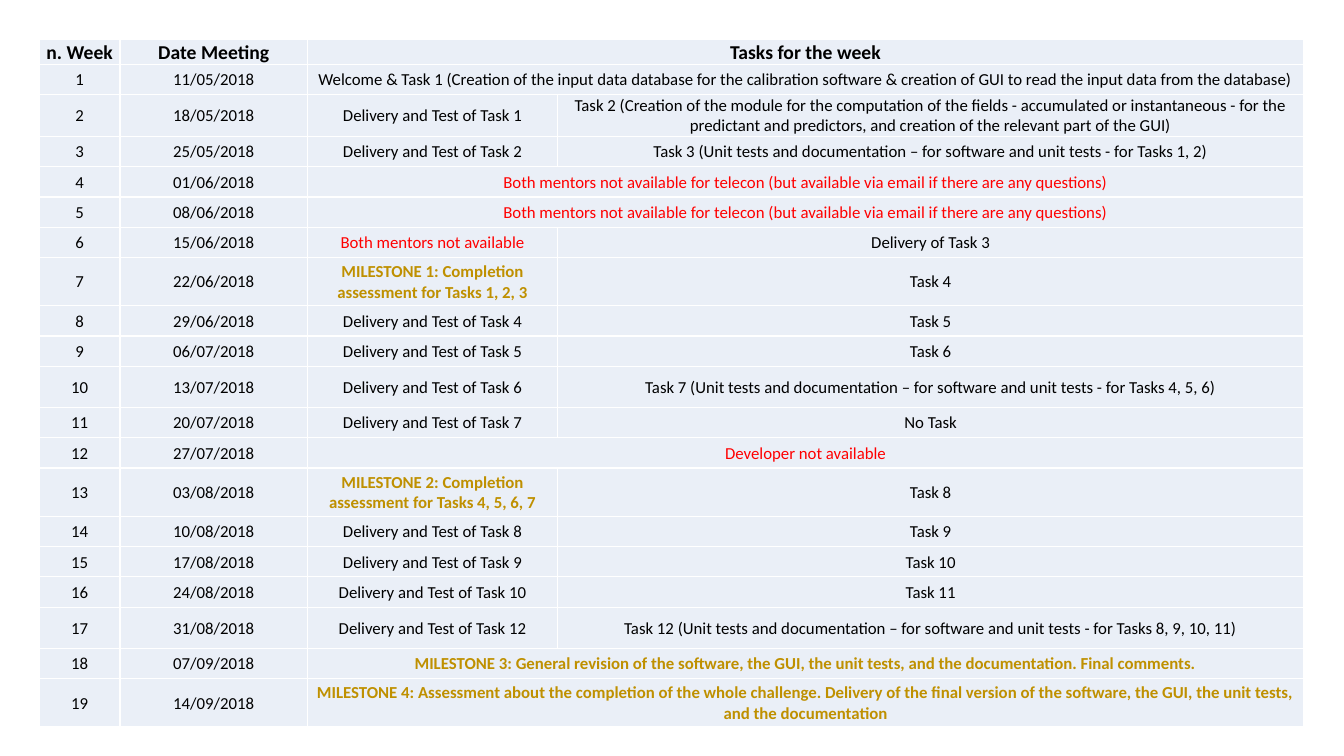
from lxml import etree
from pptx import Presentation
from pptx.dml.color import RGBColor
from pptx.enum.text import MSO_ANCHOR as Anchor, PP_ALIGN as Align
from pptx.oxml.ns import qn
from pptx.util import Inches, Pt

COLUMN_WIDTHS = [0.8, 1.86, 2.48, 7.4]
HEADER_HEIGHT, WEEK_HEIGHT = 0.24, 0.3
TALLER_WEEKS = {2: 0.41, 7: 0.48, 10: 0.41, 13: 0.48, 17: 0.41, 19: 0.48}

ABSENCE = ("Both mentors not available for telecon "
           "(but available via email if there are any questions)")
UNIT_TESTS = "(Unit tests and documentation – for software and unit tests - for Tasks {})"

# Meeting date, then one task across both columns or a delivery and a task
WEEKS = [
    ("11/05/2018", "Welcome & Task 1 (Creation of the input data database for the calibration "
                   "software & creation of GUI to read the input data from the database)"),
    ("18/05/2018", "Delivery and Test of Task 1",
     "Task 2 (Creation of the module for the computation of the fields - accumulated or "
     "instantaneous - for the predictant and predictors, and creation of the relevant part "
     "of the GUI)"),
    ("25/05/2018", "Delivery and Test of Task 2", "Task 3 " + UNIT_TESTS.format("1, 2")),
    ("01/06/2018", ABSENCE),
    ("08/06/2018", ABSENCE),
    ("15/06/2018", "Both mentors not available", "Delivery of Task 3"),
    ("22/06/2018", "MILESTONE 1: Completion assessment for Tasks 1, 2, 3", "Task 4"),
    ("29/06/2018", "Delivery and Test of Task 4", "Task 5"),
    ("06/07/2018", "Delivery and Test of Task 5", "Task 6"),
    ("13/07/2018", "Delivery and Test of Task 6", "Task 7 " + UNIT_TESTS.format("4, 5, 6")),
    ("20/07/2018", "Delivery and Test of Task 7", "No Task"),
    ("27/07/2018", "Developer not available"),
    ("03/08/2018", "MILESTONE 2: Completion\nassessment for Tasks 4, 5, 6, 7", "Task 8"),
    ("10/08/2018", "Delivery and Test of Task 8", "Task 9"),
    ("17/08/2018", "Delivery and Test of Task 9", "Task 10"),
    ("24/08/2018", "Delivery and Test of Task 10", "Task 11"),
    ("31/08/2018", "Delivery and Test of Task 12",
     "Task 12 " + UNIT_TESTS.format("8, 9, 10, 11")),
    ("07/09/2018", "MILESTONE 3: General revision of the software, the GUI, the unit tests, "
                   "and the documentation. Final comments."),
    ("14/09/2018", "MILESTONE 4: Assessment about the completion of the whole challenge. "
                   "Delivery of the final version of the software, the GUI, the unit tests, "
                   "and the documentation"),
]


def rgb(hex_code):
    return RGBColor.from_string(hex_code)


class ScheduleSlide:
    font_name = "Calibri"
    text, absence, milestone = "000000", "FF0000", "BF9000"
    cell_fill, border = "EAEFF7", "FFFFFF"

    def __init__(self, presentation):
        self.slide = presentation.slides.add_slide(presentation.slide_layouts[6])

    def table(self, left, top, widths, heights):
        frame = self.slide.shapes.add_table(
            len(heights), len(widths), Inches(left), Inches(top),
            Inches(sum(widths)), Inches(sum(heights)))
        table = frame.table
        table.first_row = table.horz_banding = False
        for column, width in zip(table.columns, widths):
            column.width = Inches(width)
        for row, height in zip(table.rows, heights):
            row.height = Inches(height)
        return table

    def borders(self, cell):
        properties = cell._tc.get_or_add_tcPr()
        for position, side in enumerate(("lnL", "lnR", "lnT", "lnB")):
            line = etree.Element(qn(f"a:{side}"), w=str(Pt(1)))
            fill = etree.SubElement(line, qn("a:solidFill"))
            etree.SubElement(fill, qn("a:srgbClr"), val=self.border)
            properties.insert(position, line)

    def cell(self, cell, content, size, bold, color):
        cell.text = content
        cell.fill.solid()
        cell.fill.fore_color.rgb = rgb(self.cell_fill)
        cell.vertical_anchor = Anchor.MIDDLE
        cell.margin_left = cell.margin_right = cell.margin_top = Inches(0.01)
        cell.margin_bottom = 0
        for paragraph in cell.text_frame.paragraphs:
            paragraph.alignment = Align.CENTER
            font = paragraph.font
            font.name, font.size, font.bold = self.font_name, Pt(size), bold
            font.color.rgb = rgb(color)
        self.borders(cell)

    def row(self, table, index, contents, size=12, header=False):
        # A row with a single task spans both task columns
        if len(contents) < len(table.columns):
            table.cell(index, 2).merge(table.cell(index, 3))
            contents = [*contents, ""]
        for column, content in enumerate(contents):
            is_milestone = content.startswith("MILESTONE")
            color = (self.milestone if is_milestone
                     else self.absence if "not available" in content
                     else self.text)
            self.cell(table.cell(index, column), content, size,
                      header or is_milestone, color)


def main():
    presentation = Presentation()
    presentation.slide_width = Inches(13.33)
    presentation.slide_height = Inches(7.5)
    schedule = ScheduleSlide(presentation)

    # Table grid
    heights = [HEADER_HEIGHT] + [TALLER_WEEKS.get(week, WEEK_HEIGHT)
                                 for week in range(1, len(WEEKS) + 1)]
    table = schedule.table(0.39, 0.39, COLUMN_WIDTHS, heights)

    # Header and weekly rows
    schedule.row(table, 0, ["n. Week", "Date Meeting", "Tasks for the week"],
                 size=14, header=True)
    for week, entries in enumerate(WEEKS, start=1):
        schedule.row(table, week, [str(week), *entries])

    presentation.save("out.pptx")


if __name__ == "__main__":
    main()
